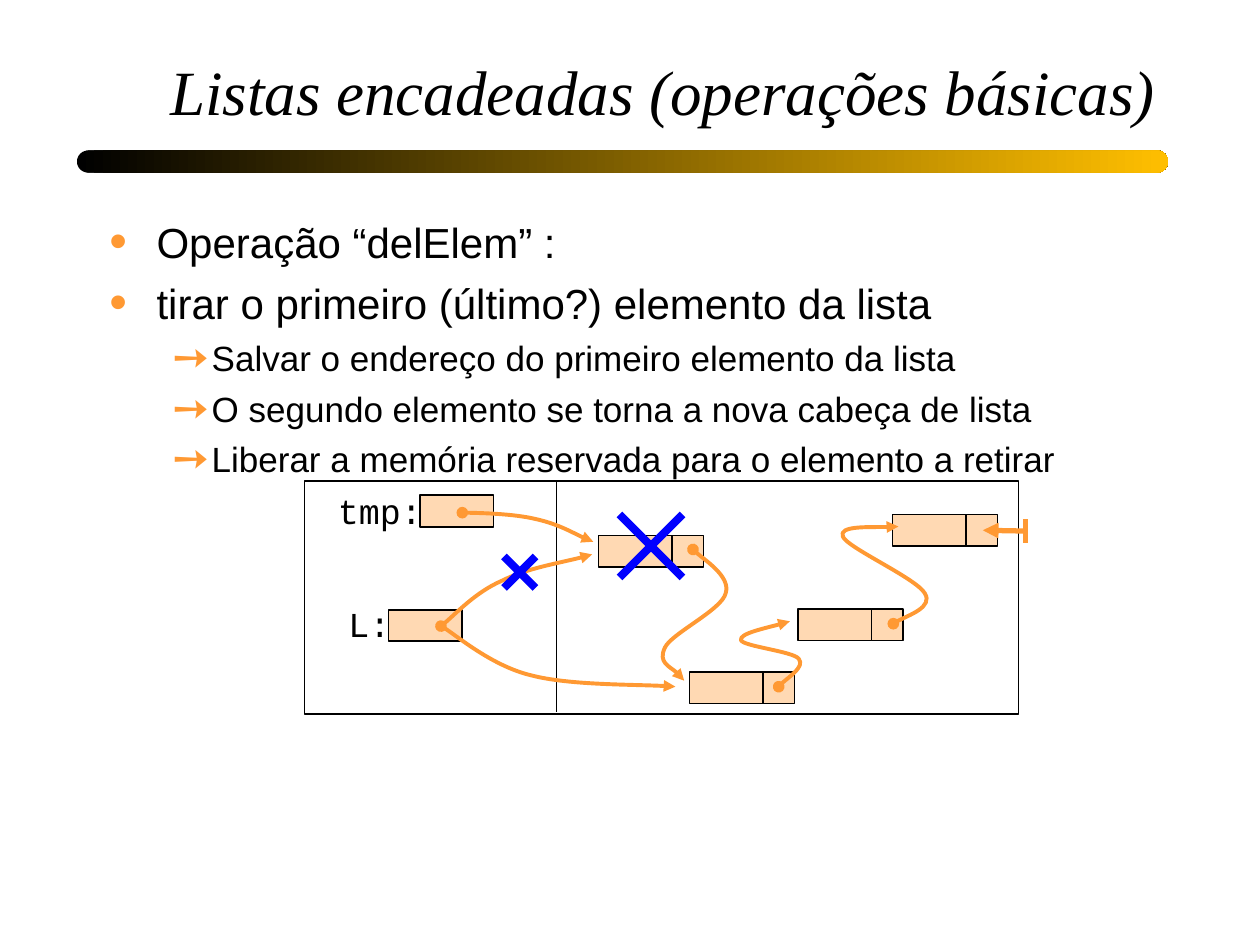
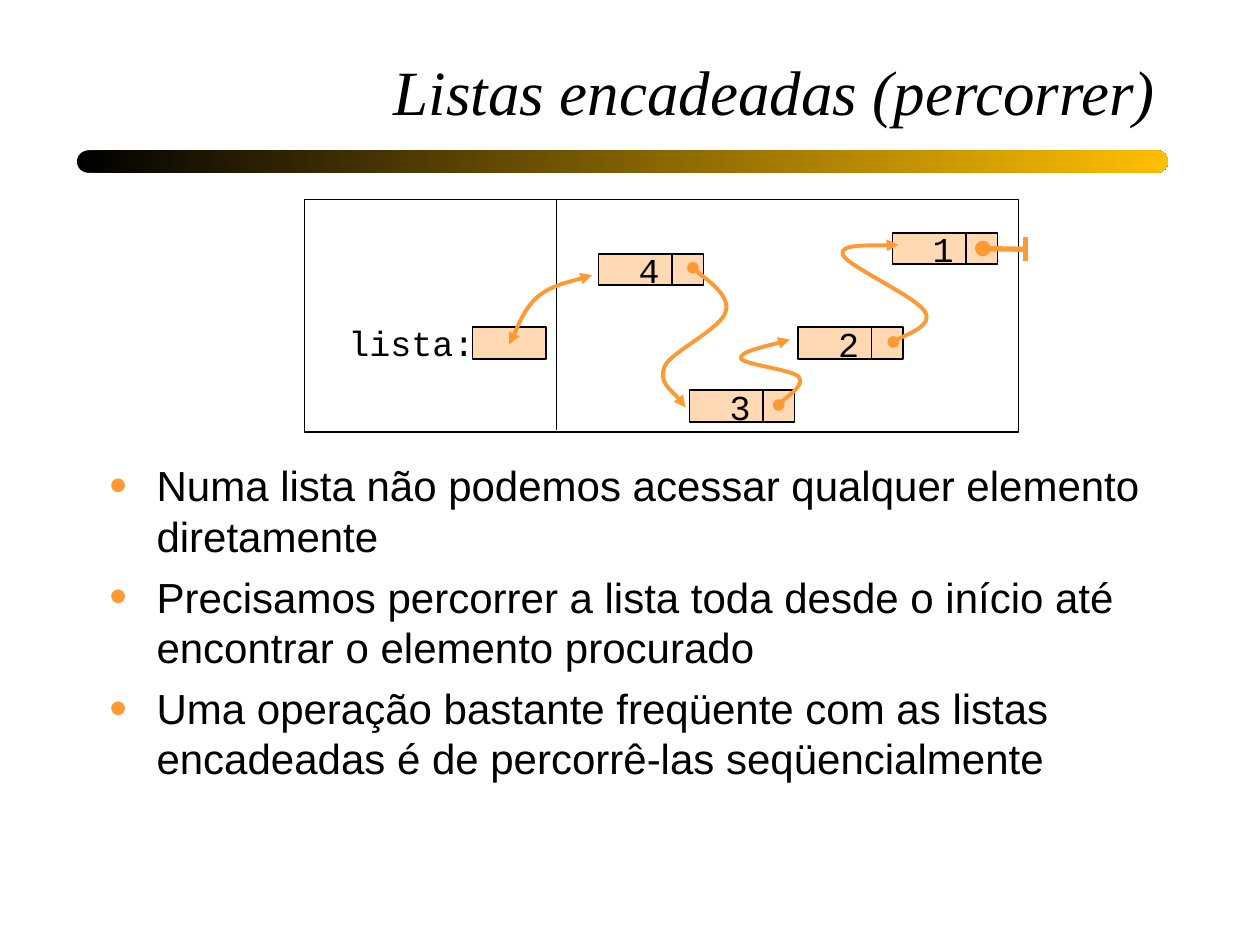
from lxml import etree
from pptx import Presentation
from pptx.dml.color import RGBColor
from pptx.enum import shapes, text
from pptx.oxml.ns import qn
from pptx.util import Pt

BLACK, GOLD, ORANGE, PEACH, BLUE = "000000", "FFBF00", "FF9933", "FFD9B3", "0000FF"
SANS, SERIF, MONO = "Arial", "Times New Roman", "Courier New"

# Bullet levels: character, size %, left margin, hanging indent, text size, space before
LEVELS = [("•", 120, 27, 27, 24, 6), ("➙", 125, 58.5, 22.5, 20, 5)]

# List diagram, in points: x from the slide edge, y from the top of the frame
CELL_W, CELL_H = 42, 18
NODES = {"4": (342, 31), "3": (394, 109), "2": (456, 73), "1": (510, 19)}
LINK_2_TO_1 = [(510.5, 81.4), (514, 78.5), (533.5, 72), (528.5, 64),
               (523.4, 55.4), (484.6, 38.2), (481.7, 31.7),
               (478.8, 25.2), (506.9, 26.6), (513.4, 25.9)]
LINK_3_TO_2 = [(445, 117.4), (447, 114.5), (460, 106), (456.5, 101.5),
               (453.6, 97.2), (424, 94.3), (423.4, 90.7),
               (422.6, 87), (445.7, 82), (451.4, 80)]
LINK_4_TO_3 = [(396, 39), (399, 42.5), (417.6, 54.7), (414.7, 64),
               (412.6, 73.4), (383.8, 87), (380, 95)]


def rgb(color):
    return RGBColor.from_string(color)


class Deck:
    """Holds the shared style and the slide being built."""

    def __init__(self):
        self.prs = Presentation()
        self.prs.slide_width, self.prs.slide_height = Pt(720), Pt(540)
        self.slide = None
        self.top = 0  # top of the current diagram

    def new_slide(self, title):
        self.slide = self.prs.slides.add_slide(self.prs.slide_layouts[5])
        # Gradient band under the title
        band = self.shape(shapes.MSO_SHAPE.ROUNDED_RECTANGLE, 44, 86, 623.5, 12.6)
        band.adjustments[0] = 0.5
        band.fill.gradient()
        band.fill.gradient_angle = 0
        for stop, color in zip(band.fill.gradient_stops, (BLACK, GOLD)):
            stop.color.rgb = rgb(color)
        # Title
        sp = self.slide.shapes.title
        sp.left, sp.top, sp.width, sp.height = Pt(55.4), Pt(11), Pt(612), Pt(66)
        tf = self.frame_text(sp, text.MSO_ANCHOR.BOTTOM, wrap=True)
        self.run(tf.paragraphs[0], title, 36, SERIF, text.PP_ALIGN.RIGHT, italic=True)

    def shape(self, kind, x, y, w, h, fill=None, line=None):
        sp = self.slide.shapes.add_shape(kind, Pt(x), Pt(y), Pt(w), Pt(h))
        sp.shadow.inherit = False
        if fill:
            sp.fill.solid()
            sp.fill.fore_color.rgb = rgb(fill)
        else:
            sp.fill.background()
        if line:
            self.stroke(sp, line, 1)
        else:
            sp.line.fill.background()
        return sp

    def stroke(self, sp, color, width, head=None, tail=None):
        sp.line.color.rgb = rgb(color)
        sp.line.width = Pt(width)
        ln = sp.element.spPr.find(qn("a:ln"))
        for tag, end in (("a:headEnd", head), ("a:tailEnd", tail)):
            if end:
                etree.SubElement(ln, qn(tag), type=end)

    def frame_text(self, sp, anchor, wrap):
        tf = sp.text_frame
        tf.auto_size = text.MSO_AUTO_SIZE.NONE
        tf.word_wrap = wrap
        tf.vertical_anchor = anchor
        tf.margin_left = tf.margin_right = Pt(7.2)
        tf.margin_top = tf.margin_bottom = Pt(3.6)
        return tf

    def run(self, p, words, size, font, align=text.PP_ALIGN.LEFT, italic=False):
        p.alignment = align
        r = p.add_run()
        r.text = words
        r.font.size, r.font.name, r.font.italic = Pt(size), font, italic
        r.font.color.rgb = rgb(BLACK)

    def text_box(self, x, y, w, h, wrap):
        sp = self.slide.shapes.add_textbox(Pt(x), Pt(y), Pt(w), Pt(h))
        return self.frame_text(sp, text.MSO_ANCHOR.TOP, wrap)

    def bullets(self, y, items):
        tf = self.text_box(55.4, y, 612, 498 - y, wrap=True)
        for i, (level, words) in enumerate(items):
            char, percent, margin, hang, size, before = LEVELS[level]
            p = tf.paragraphs[0] if i == 0 else tf.add_paragraph()
            p.level = level
            p.line_spacing = Pt(1.2 * size)
            p.space_before = Pt(before if i else 0)
            pPr = p._p.get_or_add_pPr()
            pPr.set("marL", str(Pt(margin)))
            pPr.set("indent", str(-Pt(hang)))
            color = etree.SubElement(pPr, qn("a:buClr"))
            etree.SubElement(color, qn("a:srgbClr"), val=ORANGE)
            etree.SubElement(pPr, qn("a:buSzPct"), val=str(percent * 1000))
            etree.SubElement(pPr, qn("a:buFont"), typeface=SANS)
            etree.SubElement(pPr, qn("a:buChar"), char=char)
            self.run(p, words, size, SANS)

    # Diagram elements: y is measured from the top of the frame
    def line(self, x1, y1, x2, y2, color, width, head=None):
        sp = self.slide.shapes.add_connector(
            shapes.MSO_CONNECTOR.STRAIGHT,
            Pt(x1), Pt(self.top + y1), Pt(x2), Pt(self.top + y2))
        self.stroke(sp, color, width, head)
        etree.SubElement(sp.element.spPr, qn("a:effectLst"))

    def curve(self, points, head="oval", tail="triangle"):
        """Draw Bézier pieces: a start, then two controls and an end for each."""
        pts = [(Pt(x), Pt(self.top + y)) for x, y in points]
        builder = self.slide.shapes.build_freeform(*pts[0])
        builder.add_line_segments(pts[1:], close=False)
        sp = builder.convert_to_shape()
        outline = sp.element.spPr.find(".//" + qn("a:path"))
        corners = outline.findall(qn("a:lnTo"))
        for i in range(0, len(corners), 3):
            bezier = etree.SubElement(outline, qn("a:cubicBezTo"))
            for corner in corners[i:i + 3]:
                bezier.append(corner[0])
                outline.remove(corner)
        sp.shadow.inherit = False
        sp.fill.background()
        self.stroke(sp, ORANGE, 2.25, head, tail)

    def cell(self, x, y, w=CELL_W):
        return self.shape(shapes.MSO_SHAPE.RECTANGLE, x, self.top + y, w, CELL_H, PEACH, BLACK)

    def variable(self, name, label_x, label_y, label_w, cell_x, cell_y):
        tf = self.text_box(label_x, self.top + label_y, label_w, 31.7, wrap=False)
        self.run(tf.paragraphs[0], name, 20, MONO)
        self.cell(cell_x, cell_y)

    def cross(self, x, y, size):
        self.line(x, y, x + size, y + size, BLUE, 4.5)
        self.line(x + size, y, x, y + size, BLUE, 4.5)

    def list_diagram(self, top, numbered, null_head, last_link):
        self.top = top
        self.shape(shapes.MSO_SHAPE.RECTANGLE, 174, top, 408, 133, line=BLACK)
        self.line(318, 0, 318, 132, BLACK, 1)
        for value, (x, y) in NODES.items():
            sp = self.cell(x, y)
            self.cell(x + CELL_W, y, CELL_H)
            if numbered:
                tf = self.frame_text(sp, text.MSO_ANCHOR.MIDDLE, wrap=False)
                self.run(tf.paragraphs[0], value, 20, MONO, text.PP_ALIGN.RIGHT)
        for link in (LINK_2_TO_1, LINK_3_TO_2, LINK_4_TO_3 + last_link):
            self.curve(link)
        # Null pointer of the last node
        self.line(561.6, 28, 587, 28.5, ORANGE, 3, null_head)
        self.line(586, 21.6, 586, 35.4, ORANGE, 3)


def main():
    deck = Deck()

    # Slide 1: removing the first element
    deck.new_slide("Listas encadeadas (operações básicas)")
    deck.bullets(120, [
        (0, "Operação “delElem” :"),
        (0, "tirar o primeiro (último?) elemento da lista"),
        (1, "Salvar o endereço do primeiro elemento da lista"),
        (1, "O segundo elemento se torna a nova cabeça de lista"),
        (1, "Liberar a memória reservada para o elemento a retirar"),
    ])
    deck.list_diagram(275, numbered=False, null_head="triangle",
                      last_link=[(375.8, 103.7), (388.8, 109.4), (391, 114)])
    deck.variable("tmp:", 186, 1, 62.6, 240, 8)
    deck.variable("L:", 192, 66, 38, 222, 73.5)
    deck.curve([(264.2, 18), (270.7, 18), (293.8, 18.7), (306, 21.6),
                (319, 24.5), (332.6, 32.4), (339, 34.6)])
    deck.curve([(252, 82.8), (257.8, 78.5), (272, 63.4), (286.6, 57),
                (301, 49.7), (327.6, 45.4), (338.4, 41.8)])
    deck.curve([(253.4, 83.5), (261.4, 88.6), (281.5, 105.8), (303.8, 111),
                (325.4, 116.6), (368.6, 116), (386, 117.4)], head=None)
    deck.cross(288, 43, 18)
    deck.cross(354, 19, 36)

    # Slide 2: walking through the list
    deck.new_slide("Listas encadeadas (percorrer)")
    deck.list_diagram(114, numbered=True, null_head="oval",
                      last_link=[(375.8, 104.4), (389.5, 113.8), (391.7, 118.8)])
    deck.variable("lista:", 192, 66, 86.4, 270, 73)
    deck.curve([(291, 82.8), (293.8, 77.8), (299.5, 62.6), (307.4, 55.4),
                (315.4, 49), (332, 45.4), (338.4, 43.2)], head="triangle")
    deck.bullets(259.2, [
        (0, "Numa lista não podemos acessar qualquer elemento diretamente"),
        (0, "Precisamos percorrer a lista toda desde o início até encontrar "
            "o elemento procurado"),
        (0, "Uma operação bastante freqüente com as listas encadeadas é de "
            "percorrê-las seqüencialmente"),
    ])

    deck.prs.save("out.pptx")


if __name__ == "__main__":
    main()
